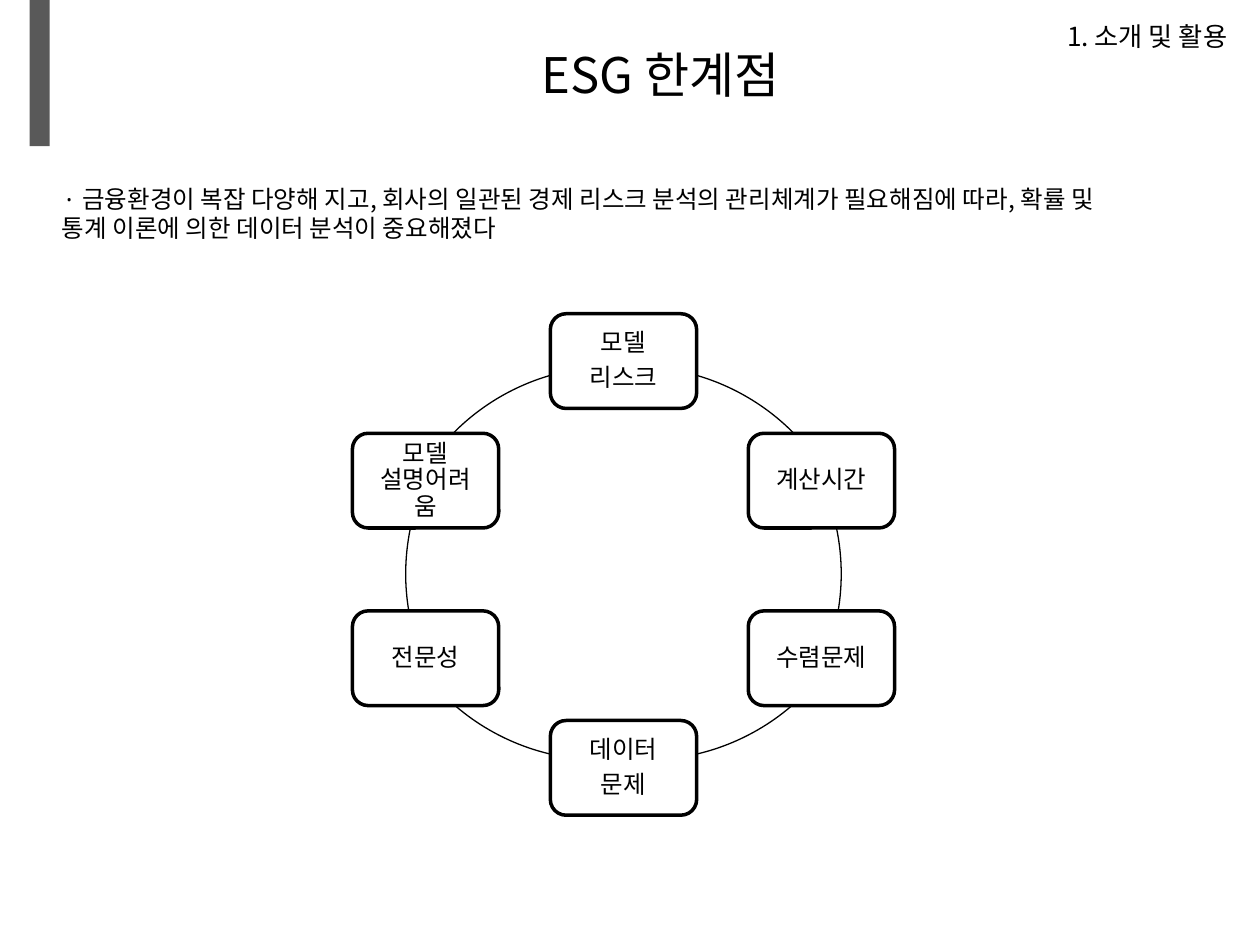
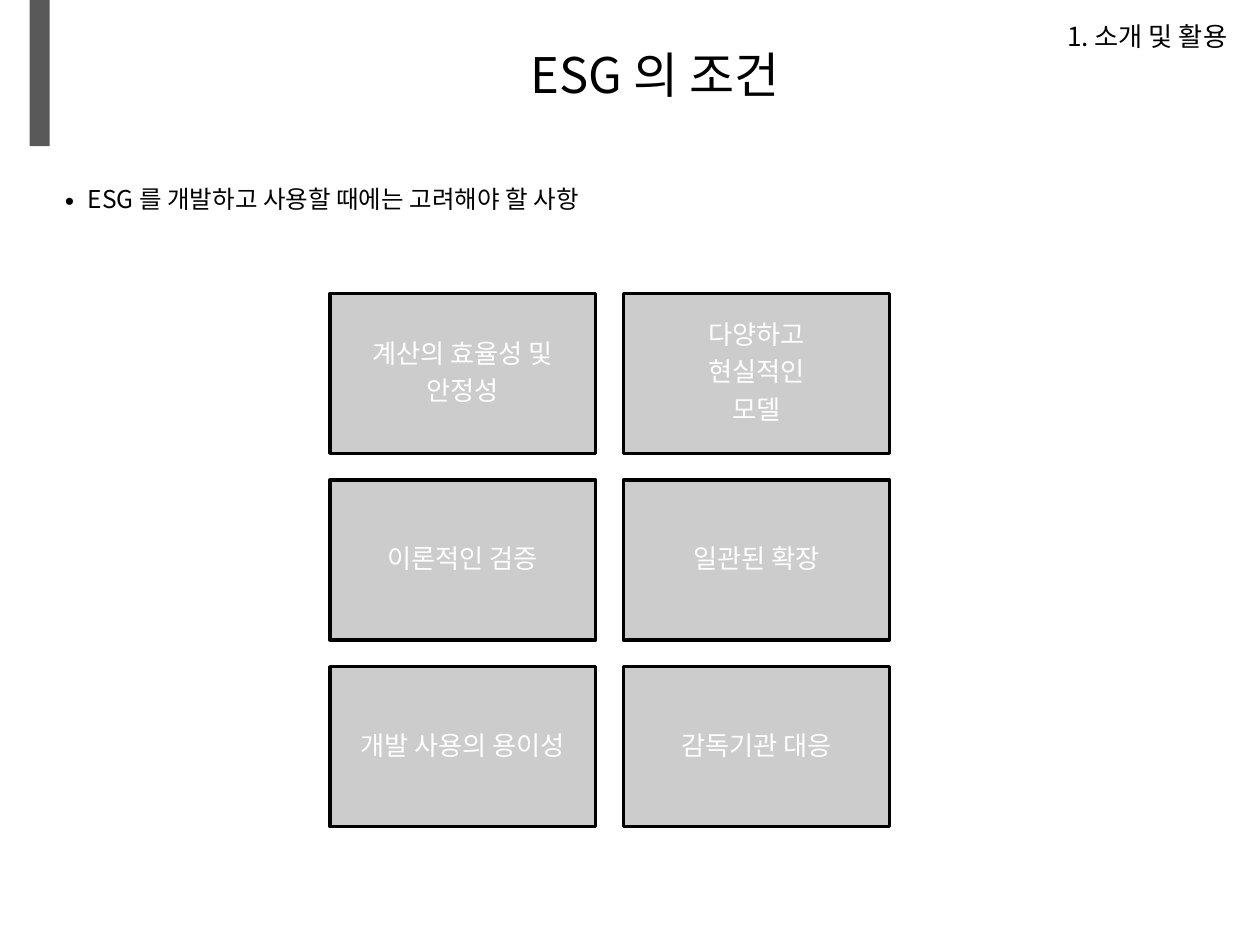
"""Build two slides on the limits and the terms of ESG."""
import dataclasses
import typing

import lxml.etree
import pptx
import pptx.dml.color
import pptx.enum.shapes
import pptx.enum.text
import pptx.oxml.ns
import pptx.util

Cm = pptx.util.Cm
Pt = pptx.util.Pt
Kind = pptx.enum.shapes.MSO_SHAPE
Align = pptx.enum.text.PP_ALIGN
Anchor = pptx.enum.text.MSO_ANCHOR
qn = pptx.oxml.ns.qn

BLACK, WHITE, GREY = "000000", "FFFFFF", "595959"
SANS, MONO = "Noto Sans CJK KR", "Noto Sans Mono"
LABEL = "1. 소개 및 활용"
MID = 12.57
RADIUS = 4.51


@dataclasses.dataclass(frozen=True)
class Area:
    """Place and size in centimetres."""
    left: float
    top: float
    width: float
    height: float


@dataclasses.dataclass(frozen=True)
class Style:
    """Look of a text."""
    size: float
    color: str = BLACK
    align: typing.Any = Align.LEFT
    anchor: typing.Any = Anchor.TOP
    side: float = 0.25
    edge: float = 0.13
    line: float = 1.0
    after: float = 0


@dataclasses.dataclass(frozen=True)
class Node:
    """Box on the ring: steps from the middle, centre height and text."""
    step: int
    top: float
    text: str


@dataclasses.dataclass(frozen=True)
class Arc:
    """Right-hand arc of the ring: centre and angles in degrees."""
    shift: float
    top: float
    start: float
    end: float


TITLE = Style(28, align=Align.CENTER, anchor=Anchor.MIDDLE)
HEAD = Style(15, align=Align.RIGHT, anchor=Anchor.MIDDLE)
BODY = Style(14)
RING = Style(14, BLACK, Align.CENTER, Anchor.MIDDLE, 0.25, 0.25, 0.9, 0.35)
TILE = Style(15, WHITE, Align.CENTER, Anchor.MIDDLE, 0.15, 0.15, 0.9, 0.35)

NODES = [
    Node(0, 7.28, "모델\n리스크"),
    Node(1, 9.69, "계산시간"),
    Node(1, 13.27, "수렴문제"),
    Node(0, 15.48, "데이터\n문제"),
    Node(-1, 13.27, "전문성"),
    Node(-1, 9.69, "모델 설명어려움"),
]
ARCS = [
    Arc(0.22, 11.9, 286.5, 315.2),
    Arc(-0.12, 11.57, 348.2, 9.5),
    Arc(0.45, 10.81, 49.6, 76.5),
]
TILES = [
    "계산의 효율성 및\n안정성", "다양하고\n현실적인\n모델",
    "이론적인 검증", "일관된 확장",
    "개발 사용의 용이성", "감독기관 대응",
]


def paint(color: str) -> pptx.dml.color.RGBColor:
    """Turn a hex string into a colour."""
    return pptx.dml.color.RGBColor.from_string(color)


def apply(target: typing.Any, values: dict[str, typing.Any]) -> None:
    """Set each named value on the target."""
    for name, value in values.items():
        setattr(target, name, value)


def place(area: Area) -> list[int]:
    """Give an area as four lengths."""
    return [Cm(value) for value in dataclasses.astuple(area)]


def write(shape: typing.Any, text: str, style: Style) -> None:
    """Fill a shape with styled text, one paragraph a line."""
    frame = shape.text_frame
    frame.text = text
    apply(frame, {
        "word_wrap": True, "vertical_anchor": style.anchor,
        "margin_left": Cm(style.side), "margin_right": Cm(style.side),
        "margin_top": Cm(style.edge), "margin_bottom": Cm(style.edge),
    })
    for para in frame.paragraphs:
        apply(para, {
            "alignment": style.align, "line_spacing": style.line,
            "space_after": Pt(style.size * style.after),
        })
        for run in para.runs:
            apply(run.font, {"size": Pt(style.size), "name": SANS})
            run.font.color.rgb = paint(style.color)
            east = lxml.etree.SubElement(run.font._element, qn("a:ea"))
            east.set("typeface", SANS)


def label(slide: typing.Any, area: Area, text: str, style: Style) -> typing.Any:
    """Add a text box."""
    box = slide.shapes.add_textbox(*place(area))
    write(box, text, style)
    return box


def draw(slide: typing.Any, kind: typing.Any, area: Area, fill: str = "",
         width: float = 0, alpha: int = 100) -> typing.Any:
    """Add a preset shape; no fill or no line when left out."""
    shape = slide.shapes.add_shape(kind, *place(area))
    shape.shadow.inherit = False
    if fill:
        shape.fill.solid()
        shape.fill.fore_color.rgb = paint(fill)
    else:
        shape.fill.background()
    if alpha < 100:
        tone = shape._element.spPr.find(qn("a:solidFill"))[0]
        lxml.etree.SubElement(tone, qn("a:alpha")).set("val", str(alpha * 1000))
    if width:
        shape.line.color.rgb = paint(BLACK)
        shape.line.width = Pt(width)
    else:
        shape.line.fill.background()
    return shape


def dot(para: typing.Any, gap: float, face: str) -> None:
    """Give a paragraph a hanging dot."""
    props = para._p.get_or_add_pPr()
    for name, sign in (("marL", 1), ("indent", -1)):
        props.set(name, str(sign * Cm(gap)))
    lxml.etree.SubElement(props, qn("a:buFont")).set("typeface", face)
    lxml.etree.SubElement(props, qn("a:buChar")).set("char", "∙")


def start(deck: typing.Any, title: str, body: str, gap: float,
          face: str) -> typing.Any:
    """Add a slide with bar, title, section label and lead text."""
    slide = deck.slides.add_slide(deck.slide_layouts[6])
    draw(slide, Kind.RECTANGLE, Area(0.6, 0, 0.4, 2.95), GREY)
    label(slide, Area(1, 0, 24.4, 2.97), title, TITLE)
    high = 0.86 + 1.2 * body.count("\n")
    lead = label(slide, Area(1, 3.58, 24, high), body, BODY)
    dot(lead.text_frame.paragraphs[0], gap, face)
    label(slide, Area(13.49, 0, 11.5, 1.45), LABEL, HEAD)
    return slide


def curve(slide: typing.Any, shift: float, top: float, first: float,
          last: float) -> None:
    """Add one arc of the ring."""
    area = Area(MID + shift - RADIUS, top - RADIUS, 2 * RADIUS, 2 * RADIUS)
    shape = draw(slide, Kind.ARC, area, width=0.75)
    for index, angle in enumerate((first, last)):
        shape.adjustments[index] = angle % 360 * 0.6


def ring(slide: typing.Any) -> None:
    """Draw the six limits round a ring."""
    for arc in ARCS:
        curve(slide, arc.shift, arc.top, arc.start, arc.end)
        curve(slide, -arc.shift, arc.top, 180 - arc.end, 180 - arc.start)
    wide, high = 2.95, 1.91
    for node in NODES:
        left = MID + node.step * 3.99 - wide / 2
        area = Area(left, node.top - high / 2, wide, high)
        box = draw(slide, Kind.ROUNDED_RECTANGLE, area, WHITE, 2)
        write(box, node.text, RING)


def grid(slide: typing.Any) -> None:
    """Draw the six terms in two columns."""
    for index, text in enumerate(TILES):
        row, col = divmod(index, 2)
        area = Area(6.65 + col * 5.92, 5.92 + row * 3.76, 5.36, 3.22)
        write(draw(slide, Kind.RECTANGLE, area, BLACK, 2, 20), text, TILE)


def main() -> None:
    """Build and save the deck."""
    deck = pptx.Presentation()
    apply(deck, {"slide_width": Cm(25.4), "slide_height": Cm(19.05)})
    ring(start(
        deck, " ESG 한계점",
        "금융환경이 복잡 다양해 지고, 회사의 일관된 경제 리스크 분석의 관리체계가 "
        "필요해짐에 따라, 확률 및\n통계 이론에 의한 데이터 분석이 중요해졌다",
        0.41, MONO))
    grid(start(
        deck, "ESG 의 조건", "ESG 를 개발하고 사용할 때에는 고려해야 할 사항",
        0.52, SANS))
    deck.save("out.pptx")


if __name__ == "__main__":
    main()
